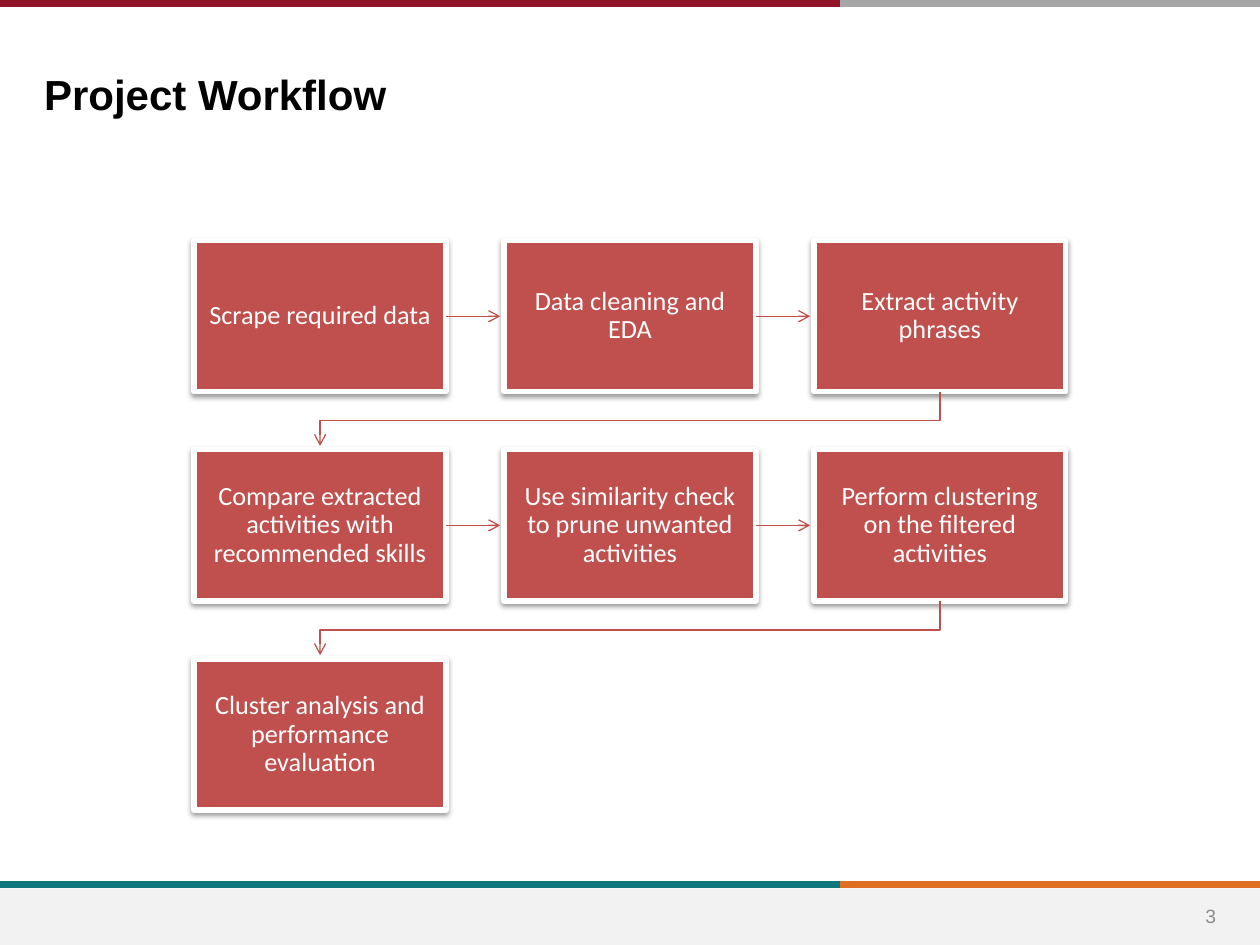
from lxml import etree
from pptx import Presentation
from pptx.dml.color import RGBColor
from pptx.enum.shapes import MSO_CONNECTOR, MSO_SHAPE
from pptx.enum.text import MSO_ANCHOR, PP_ALIGN
from pptx.oxml.ns import qn
from pptx.util import Inches, Pt

STRAIGHT = MSO_CONNECTOR.STRAIGHT
RECTANGLE = MSO_SHAPE.RECTANGLE
MIDDLE, TOP = MSO_ANCHOR.MIDDLE, MSO_ANCHOR.TOP
CENTER, LEFT = PP_ALIGN.CENTER, PP_ALIGN.LEFT
BOTTOM_SITE, RIGHT_SITE = 2, 3

TITLE = "Project Workflow"
PAGE_NUMBER = "3"
STEPS = [
    "Scrape required data",
    "Data cleaning and EDA",
    "Extract activity phrases",
    "Compare extracted activities with recommended skills",
    "Use similarity check to prune unwanted activities",
    "Perform clustering on the filtered activities",
    "Cluster analysis and performance evaluation",
]
STRIPES = [
    (6.67, 10, 7.02, "DF7023"),
    (0, 6.67, 7.02, "0F787D"),
    (6.67, 10, 0.03, "A6A6A6"),
    (0, 6.67, 0.03, "90152A"),
]
RED, WHITE = "C0504D", "FFFFFF"
COLUMNS = 3
GRID_LEFT, GRID_TOP = 1.54, 1.91
BOX_WIDTH, BOX_HEIGHT = 2, 1.2
COLUMN_STEP, ROW_STEP = 2.46, 1.66
TIP_GAP, TURN_DROP = 0.03, 0.23


def color(value):
    return RGBColor.from_string(value)


def write(frame, text, size, font_name, text_color, align, anchor, bold=False):
    frame.word_wrap = True
    frame.vertical_anchor = anchor
    paragraph = frame.paragraphs[0]
    paragraph.alignment = align
    run = paragraph.add_run()
    run.text = text
    run.font.size = Pt(size)
    run.font.name = font_name
    run.font.bold = bold
    run.font.color.rgb = color(text_color)
    return paragraph


def style_line(shape, line_color, width, arrow=False):
    shape.line.color.rgb = color(line_color)
    shape.line.width = Pt(width)
    if arrow:
        etree.SubElement(shape.line._get_or_add_ln(), qn("a:tailEnd"), type="arrow")


def add_line(slide, start, end, line_color, width, arrow=False):
    points = [Inches(value) for value in (*start, *end)]
    connector = slide.shapes.add_connector(STRAIGHT, *points)
    style_line(connector, line_color, width, arrow)
    etree.SubElement(connector._element.spPr, qn("a:effectLst"))
    return connector


def add_shadow(shape):
    effects = shape._element.spPr.find(qn("a:effectLst"))
    shadow = etree.SubElement(effects, qn("a:outerShdw"), blurRad=str(Pt(3.1)),
                              dist=str(Pt(1.6)), dir="5400000", rotWithShape="0")
    shade = etree.SubElement(shadow, qn("a:srgbClr"), val="000000")
    etree.SubElement(shade, qn("a:alpha"), val="38000")


def add_rectangle(slide, left, top, width, height, fill):
    shape = slide.shapes.add_shape(RECTANGLE, Inches(left), Inches(top),
                                   Inches(width), Inches(height))
    shape.shadow.inherit = False
    shape.fill.solid()
    shape.fill.fore_color.rgb = color(fill)
    shape.line.fill.background()
    return shape


def add_step(slide, text, left, top):
    box = add_rectangle(slide, left, top, BOX_WIDTH, BOX_HEIGHT, RED)
    style_line(box, WHITE, 3)
    add_shadow(box)
    frame = box.text_frame
    frame.margin_left = frame.margin_right = Inches(0.12)
    frame.margin_top = frame.margin_bottom = Inches(0.12)
    paragraph = write(frame, text, 15, "Calibri", WHITE, CENTER, MIDDLE)
    paragraph.line_spacing = 0.9
    return box


def add_row_turn(slide, start, end):
    turn = start[1] + TURN_DROP
    route = [start, (start[0], turn), (end[0], turn), end]
    points = [(Inches(x), Inches(y)) for x, y in route]
    builder = slide.shapes.build_freeform(*points[0])
    builder.add_line_segments(points[1:], close=False)
    arrow = builder.convert_to_shape()
    arrow.shadow.inherit = False
    arrow.fill.background()
    style_line(arrow, RED, 0.75, arrow=True)


def add_workflow(slide):
    places = [(GRID_LEFT + index % COLUMNS * COLUMN_STEP,
               GRID_TOP + index // COLUMNS * ROW_STEP) for index in range(len(STEPS))]
    boxes = [add_step(slide, text, *place) for text, place in zip(STEPS, places)]
    for box, (left, top), (next_left, next_top) in zip(boxes, places, places[1:]):
        if next_top == top:
            middle = top + BOX_HEIGHT / 2
            arrow = add_line(slide, (left + BOX_WIDTH, middle),
                             (next_left - TIP_GAP, middle), RED, 0.75, arrow=True)
            arrow.begin_connect(box, RIGHT_SITE)
        else:
            half = BOX_WIDTH / 2
            add_row_turn(slide, (left + half, top + BOX_HEIGHT),
                         (next_left + half, next_top - TIP_GAP))


def main():
    """Build the project workflow slide."""
    presentation = Presentation()
    presentation.slide_width, presentation.slide_height = Inches(10), Inches(7.5)
    slide = presentation.slides.add_slide(presentation.slide_layouts[5])

    for start, end, height, stripe_color in STRIPES:
        add_line(slide, (start, height), (end, height), stripe_color, 4)
    add_rectangle(slide, 0, 7.05, 10, 0.45, "F2F2F2")

    number = slide.shapes.add_textbox(Inches(9.35), Inches(7.07), Inches(0.52), Inches(0.4))
    write(number.text_frame, PAGE_NUMBER, 11, "Arial", "8C8C8C", CENTER, MIDDLE)

    title = slide.shapes.title
    title.left, title.top = Inches(0.25), Inches(0.46)
    title.width, title.height = Inches(7.99), Inches(0.59)
    title.text_frame.margin_top = Inches(0.08)
    write(title.text_frame, TITLE, 24, "Arial", "000000", LEFT, TOP, bold=True)

    add_workflow(slide)
    presentation.save("out.pptx")


if __name__ == "__main__":
    main()
